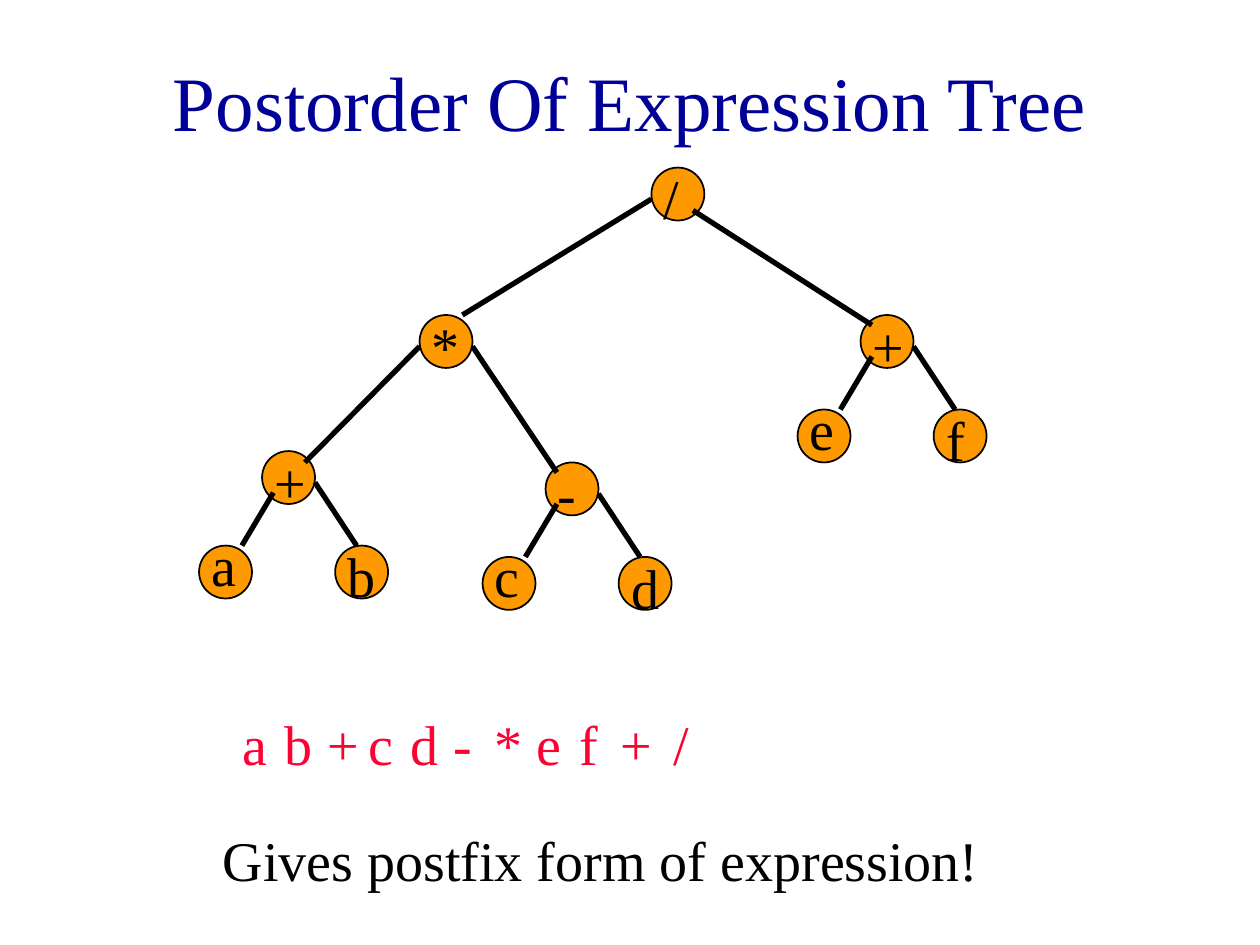
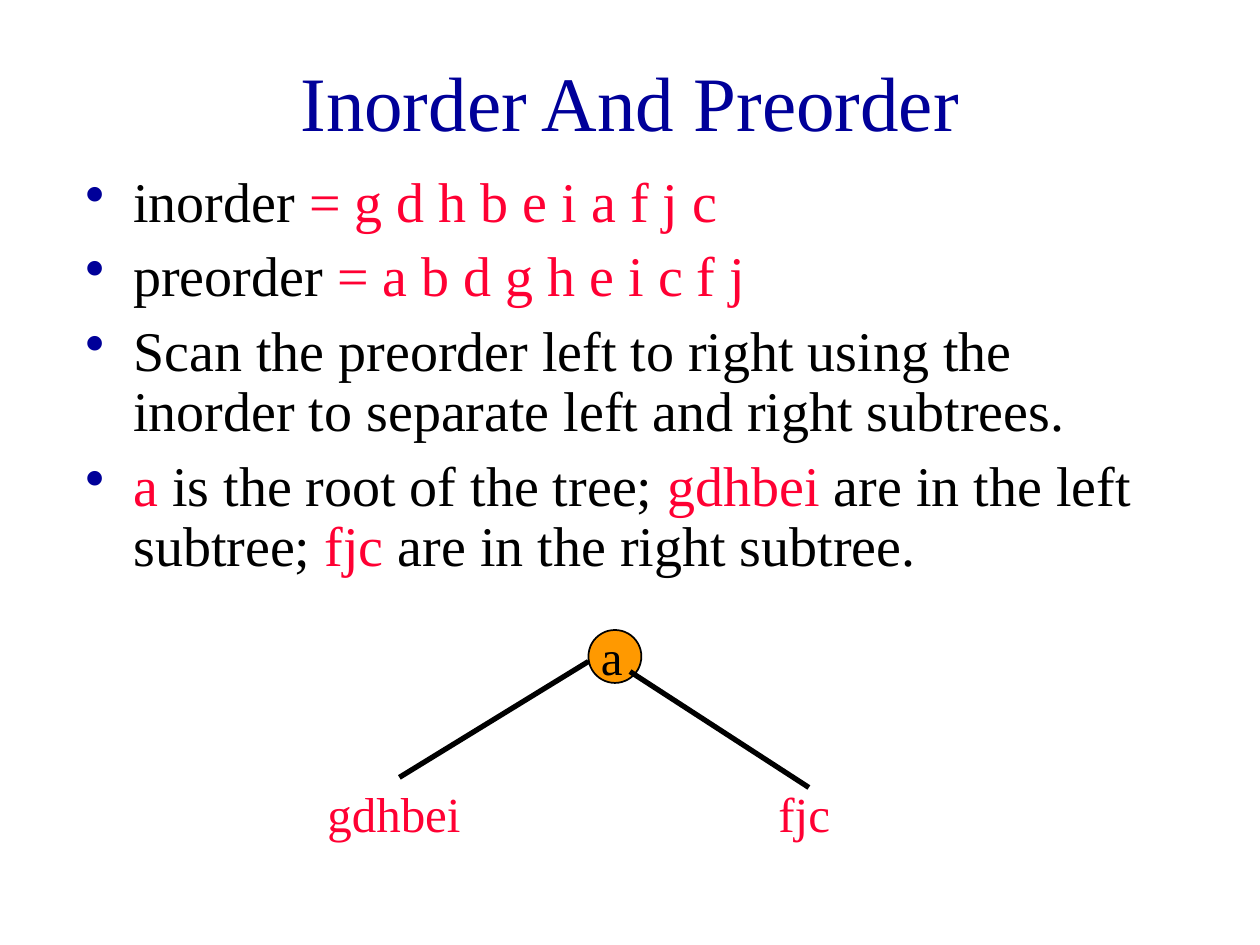
from lxml.etree import SubElement
from pptx import Presentation
from pptx.dml.color import RGBColor
from pptx.enum.shapes import MSO_CONNECTOR, MSO_SHAPE
from pptx.enum.text import MSO_ANCHOR, PP_ALIGN
from pptx.oxml.ns import qn
from pptx.util import Inches, Pt

FONT = "Times New Roman"
NAVY, RED, BLACK, ORANGE = "000099", "FF0033", "000000", "FF9900"
NODE_SIZE = 0.42
color = RGBColor.from_string


def add_text(slide, text, left, top, width, height, size=32, hex_color=BLACK):
    box = slide.shapes.add_textbox(Inches(left), Inches(top), Inches(width), Inches(height))
    box.text_frame.word_wrap = True
    paragraph = box.text_frame.paragraphs[0]
    paragraph.text = text
    paragraph.font.name = FONT
    paragraph.font.size = Pt(size)
    paragraph.font.color.rgb = color(hex_color)
    return box.text_frame


def add_tree(slide, nodes, edges, size=32, label_width=NODE_SIZE):
    # Nodes are (label, left, top, rise of the label above the circle)
    for label, left, top, rise in nodes:
        circle = slide.shapes.add_shape(
            MSO_SHAPE.OVAL, Inches(left), Inches(top), Inches(NODE_SIZE), Inches(NODE_SIZE))
        circle.shadow.inherit = False
        circle.fill.solid()
        circle.fill.fore_color.rgb = color(ORANGE)
        circle.line.color.rgb = color(BLACK)
        circle.line.width = Pt(1)
        add_text(slide, label, left, top - rise, label_width, 0.64, size)
    for edge in edges:
        line = slide.shapes.add_connector(MSO_CONNECTOR.STRAIGHT, *map(Inches, edge))
        line.line.color.rgb = color(BLACK)
        line.line.width = Pt(3)
        SubElement(line._element.spPr, qn("a:effectLst"))


presentation = Presentation()
presentation.slide_width = Inches(10)
presentation.slide_height = Inches(7.5)

# Slides with their shared title style
slides = []
for title in ("Postorder Of Expression Tree", "Inorder And Preorder"):
    slide = presentation.slides.add_slide(presentation.slide_layouts[6])
    frame = add_text(slide, title, 0.75, 0.17, 8.5, 1.25, 44, NAVY)
    frame.vertical_anchor = MSO_ANCHOR.MIDDLE
    frame.paragraphs[0].alignment = PP_ALIGN.CENTER
    slides.append(slide)
postorder_slide, inorder_slide = slides

# Expression tree: three operators with two leaves each
for operator, left_leaf, right_leaf, x, y in (
        ("+", "a", "b", 2.08, 3.58), ("-", "c", "d", 4.33, 3.67), ("+", "e", "f", 6.83, 2.5)):
    add_tree(
        postorder_slide,
        [(operator, x, y, 0.08),
         (left_leaf, x - 0.5, y + 0.75, 0.17),
         (right_leaf, x + 0.58, y + 0.75, 0.08)],
        [(x + 0.09, y + 0.33, x - 0.16, y + 0.75),
         (x + 0.42, y + 0.25, x + 0.75, y + 0.75)])

# Upper operators and the edges that lead to the subtrees
add_tree(
    postorder_slide,
    [("*", 3.33, 2.5, 0.08), ("/", 5.17, 1.33, 0.08)],
    [(3.33, 2.75, 2.42, 3.67), (3.75, 2.75, 4.42, 3.75),
     (5.17, 1.58, 3.67, 2.5), (5.5, 1.67, 6.92, 2.58)])

# Postfix expression, with the last symbol set slightly apart
for position, symbol in enumerate("ab+cd-*ef+/"):
    gap = 0.08 if symbol == "/" else 0
    add_text(postorder_slide, symbol, 1.83 + position / 3 + gap, 5.58, 0.42, 0.64, hex_color=RED)
add_text(postorder_slide, "Gives postfix form of expression!", 1.67, 6.5, 6.42, 0.64)

# Bullets as runs of text and colour
bullets = [
    [("inorder ", BLACK), ("= g d h b e i a f j c", RED)],
    [("preorder", BLACK), (" = a b d g h e i c f j", RED)],
    [("Scan the preorder left to right using the inorder to separate "
      "left and right subtrees.", BLACK)],
    [("a", RED), (" is the root of the tree; ", BLACK), ("gdhbei", RED),
     (" are in the left subtree; ", BLACK), ("fjc", RED),
     (" are in the right subtree.", BLACK)],
]
body = add_text(inorder_slide, "", 0.58, 1.33, 8.5, 3.33)
for number, runs in enumerate(bullets):
    paragraph = body.add_paragraph() if number else body.paragraphs[0]
    paragraph.font.name = FONT
    paragraph.font.size = Pt(32)
    paragraph.line_spacing = 0.9
    paragraph.space_before = Pt(8)
    for text, hex_color in runs:
        run = paragraph.add_run()
        run.text = text
        run.font.color.rgb = color(hex_color)
    properties = paragraph._p.get_or_add_pPr()
    properties.set("marL", str(Inches(0.38)))
    properties.set("indent", str(-Inches(0.38)))
    bullet_color = SubElement(properties, qn("a:buClr"))
    SubElement(bullet_color, qn("a:srgbClr"), val=NAVY)
    SubElement(properties, qn("a:buChar"), char="•")
    # The default run properties come after the bullet in the schema
    properties.append(properties.find(qn("a:defRPr")))

# Root with its two subtrees
add_tree(
    inorder_slide,
    [("a", 4.67, 5, 0.08)],
    [(4.67, 5.25, 3.17, 6.17), (5, 5.33, 6.42, 6.25)],
    size=28, label_width=0.83)
for subtree, left in (("gdhbei", 2.5), ("fjc", 6.08)):
    add_text(inorder_slide, subtree, left, 6.17, 1.42, 0.57, 28, RED)

presentation.save("out.pptx")
